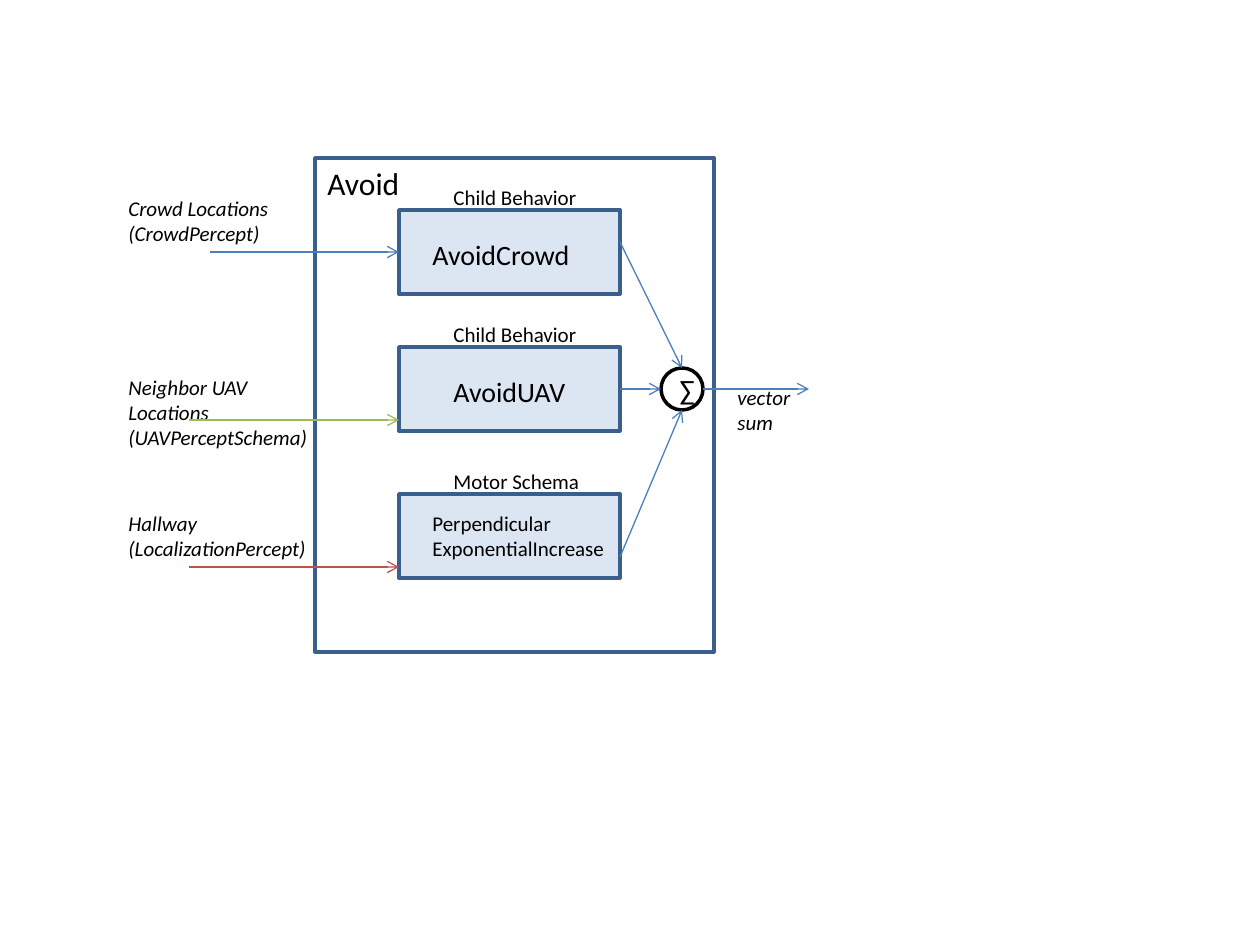
import pptx
import pptx.util
import pptx.dml.color
import pptx.enum.shapes
import pptx.enum.text
import pptx.oxml
import pptx.oxml.ns
import lxml.etree

PX = 914400 / 126
SHAPE = pptx.enum.shapes.MSO_SHAPE
RGB = pptx.dml.color.RGBColor.from_string


class Theme:
    font = "Calibri"
    ink, paper, panel = "000000", "FFFFFF", "DCE6F2"
    border, blue, green, red = "3A5F8C", "4B7EBC", "9BBB59", "C0504D"
    title, name, label = 18, 16, 12
    thick, thin = 2, 0.75


def px(*values):
    return [round(v * PX) for v in values]


def write(tf, text, size, italic=None, align=None):
    tf.word_wrap = True
    tf.text = text
    fmt = {"name": Theme.font, "size": pptx.util.Pt(size), "italic": italic}
    for p in tf.paragraphs:
        p.alignment = align
        for r in p.runs:
            for key, value in fmt.items():
                setattr(r.font, key, value)
            r.font.color.rgb = RGB(Theme.ink)


def add_text(slide, box, text, size=Theme.label, italic=None):
    sp = slide.shapes.add_textbox(*px(*box))
    write(sp.text_frame, text, size, italic)


def add_block(slide, box, fill, kind=SHAPE.RECTANGLE, line=Theme.border):
    sp = slide.shapes.add_shape(kind, *px(*box))
    sp.shadow.inherit = False
    sp.fill.solid()
    sp.fill.fore_color.rgb = RGB(fill)
    sp.line.color.rgb = RGB(line)
    sp.line.width = pptx.util.Pt(Theme.thick)
    return sp


def add_arrow(slide, ends, color=Theme.blue, head=True, begin=None, end=None):
    straight = pptx.enum.shapes.MSO_CONNECTOR.STRAIGHT
    cxn = slide.shapes.add_connector(straight, *px(*ends))
    cxn.line.color.rgb = RGB(color)
    cxn.line.width = pptx.util.Pt(Theme.thin)
    if begin:
        cxn.begin_connect(*begin)
    if end:
        cxn.end_connect(*end)
    qn = pptx.oxml.ns.qn
    if head:
        ln = cxn.line._get_or_add_ln()
        lxml.etree.SubElement(ln, qn("a:tailEnd")).set("type", "arrow")
    lxml.etree.SubElement(cxn._element.spPr, qn("a:effectLst"))


def add_sum(slide, box):
    sp = add_block(slide, box, Theme.paper, SHAPE.OVAL, Theme.ink)
    sp.text_frame.vertical_anchor = pptx.enum.text.MSO_ANCHOR.MIDDLE
    write(sp.text_frame, "∑", Theme.name, align=pptx.enum.text.PP_ALIGN.CENTER)
    return sp


def main():
    prs = pptx.Presentation()
    prs.slide_width, prs.slide_height = px(1260, 945)
    slide = prs.slides.add_slide(prs.slide_layouts[6])

    add_block(slide, (315, 158, 399, 494), Theme.paper)
    add_text(slide, (315, 158, 199, 50), "Avoid", Theme.title)

    behaviors = [
        (210, "Child Behavior", "AvoidCrowd", 420, 231, Theme.name),
        (347, "Child Behavior", "AvoidUAV", 441, 368, Theme.name),
        (494, "Motor Schema", "Perpendicular\nExponentialIncrease", 420, 504, Theme.label),
    ]
    blocks = []
    for top, role, name, left, name_top, size in behaviors:
        blocks.append(add_block(slide, (399, top, 221, 84), Theme.panel))
        add_text(slide, (441, top - 32, 168, 38), role)
        add_text(slide, (left, name_top, 221, 47), name, size)
    crowd, uav, _ = blocks
    total = add_sum(slide, (661, 368, 42, 42))

    inputs = [
        (189, 199, "Crowd Locations\n(CrowdPercept)"),
        (368, 210, "Neighbor UAV Locations\n(UAVPerceptSchema)"),
        (504, 210, "Hallway\n(LocalizationPercept)"),
    ]
    for top, width, text in inputs:
        add_text(slide, (116, top, width, 63), text, italic=True)
    add_text(slide, (725, 378, 84, 63), "vector sum", italic=True)

    add_arrow(slide, (210, 252, 368, 252), head=False)
    add_arrow(slide, (315, 252, 399, 252), end=(crowd, 1))
    add_arrow(slide, (189, 420, 399, 420), Theme.green)
    add_arrow(slide, (189, 567, 399, 567), Theme.red)
    add_arrow(slide, (620, 242, 682, 368), end=(total, 0))
    add_arrow(slide, (620, 389, 661, 389), begin=(uav, 3))
    add_arrow(slide, (620, 557, 682, 410))
    add_arrow(slide, (703, 389, 809, 389))

    prs.save("out.pptx")


if __name__ == "__main__":
    main()
